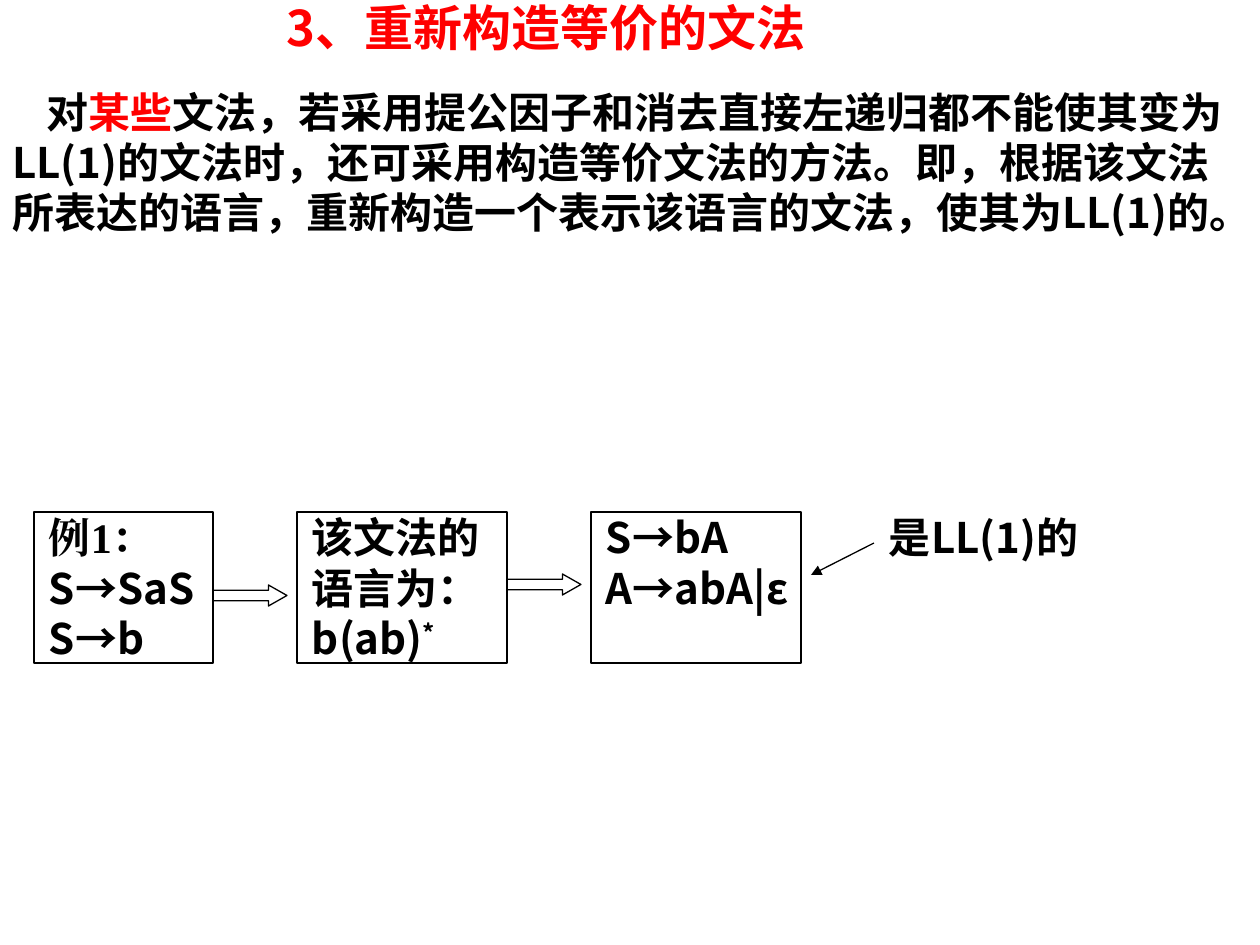
import pptx
import pptx.dml.color
import pptx.enum.shapes
import pptx.enum.text
import pptx.oxml
import pptx.oxml.ns
import pptx.util

RED = pptx.dml.color.RGBColor(0xFF, 0, 0)
BLACK = pptx.dml.color.RGBColor(0, 0, 0)
SANS = "Noto Sans CJK SC"
SERIF = "Times New Roman"
SHAPE = pptx.enum.shapes.MSO_SHAPE
PX = pptx.util.Inches(1) / 126


def px(*lengths):
    return [round(length * PX) for length in lengths]


def style(paragraph, size=24, color=BLACK, face=SANS):
    """Set a bold font for both Latin and East Asian characters."""
    font = paragraph.font
    font.size = pptx.util.Pt(size)
    font.bold = True
    font.color.rgb = color
    font.name = face
    props = paragraph._p.pPr.find(pptx.oxml.ns.qn("a:defRPr"))
    east_asian = pptx.oxml.parse_xml(f'<a:ea {pptx.oxml.ns.nsdecls("a")} typeface="{face}"/>')
    props.append(east_asian)


deck = pptx.Presentation()
deck.slide_width, deck.slide_height = px(1260, 945)
slide = deck.slides.add_slide(deck.slide_layouts[5])
shapes = slide.shapes

heading = shapes.title
heading.left, heading.top, heading.width, heading.height = px(21, 0, 1050, 53)
heading.text_frame.text = "3、重新构造等价的文法"
heading.text_frame.auto_size = pptx.enum.text.MSO_AUTO_SIZE.NONE
heading.text_frame.vertical_anchor = pptx.enum.text.MSO_ANCHOR.MIDDLE
heading.text_frame.paragraphs[0].alignment = pptx.enum.text.PP_ALIGN.CENTER
style(heading.text_frame.paragraphs[0], size=28, color=RED)

explanation = shapes.add_textbox(*px(0, 73, 1239, 231)).text_frame
explanation.word_wrap = True
explanation.margin_top = px(13)[0]
method = explanation.paragraphs[0]
method._p.get_or_add_pPr().set("indent", str(px(34)[0]))
for wording, color in [
    ("对", BLACK),
    ("某些", RED),
    ("文法，若采用提公因子和消去直接左递归都不能使其变为LL(1)的文法时，"
     "还可采用构造等价文法的方法。即，根据该文法所表达的语言，"
     "重新构造一个表示该语言的文法，使其为LL(1)的。", BLACK),
]:
    run = method.add_run()
    run.text = wording
    run.font.color.rgb = color
style(method)

# Grammar steps: left, width, height, outlined, lines
steps = [
    (34, 179, 151, True, ["例1：", "S→SaS", "S→b"]),
    (297, 210, 151, True, ["该文法的", "语言为：", "b(ab)*"]),
    (591, 210, 151, True, ["S→bA", "A→abA|ε"]),
    (874, 231, 50, False, ["是LL(1)的"]),
]
for left, width, height, outlined, lines in steps:
    step = shapes.add_shape(SHAPE.RECTANGLE, *px(left, 512, width, height))
    step.shadow.inherit = False
    step.fill.background()
    if outlined:
        step.line.color.rgb = BLACK
        step.line.width = pptx.util.Pt(0.75)
    else:
        step.line.fill.background()
    frame = step.text_frame
    frame.word_wrap = True
    frame.vertical_anchor = pptx.enum.text.MSO_ANCHOR.TOP
    frame.margin_left = px(15)[0]
    frame.margin_top = frame.margin_right = frame.margin_bottom = 0
    for number, line in enumerate(lines):
        paragraph = frame.add_paragraph() if number else frame.paragraphs[0]
        paragraph.alignment = pptx.enum.text.PP_ALIGN.LEFT
        paragraph.add_run().text = line.rstrip("*")
        if line.endswith("*"):
            star = paragraph.add_run()
            star.text = "*"
            star._r.get_or_add_rPr().set("baseline", "30000")
        style(paragraph, face=SERIF if line.startswith("例") else SANS)

for left, top in [(213, 585), (507, 574)]:
    arrow = shapes.add_shape(SHAPE.RIGHT_ARROW, *px(left, top, 74, 21))
    arrow.shadow.inherit = False
    arrow.adjustments[1] = 0.88
    arrow.fill.background()
    arrow.line.color.rgb = BLACK
    arrow.line.width = pptx.util.Pt(0.75)

pointer = shapes.add_connector(
    pptx.enum.shapes.MSO_CONNECTOR.STRAIGHT, *px(874, 543, 811, 575))
pointer.line.color.rgb = BLACK
pointer.line.width = pptx.util.Pt(0.75)
nsdecl = pptx.oxml.ns.nsdecls("a")
pointer.line._get_or_add_ln().append(
    pptx.oxml.parse_xml(f'<a:tailEnd {nsdecl} type="triangle"/>'))
pointer._element.spPr.append(pptx.oxml.parse_xml(f"<a:effectLst {nsdecl}/>"))

deck.save("out.pptx")
